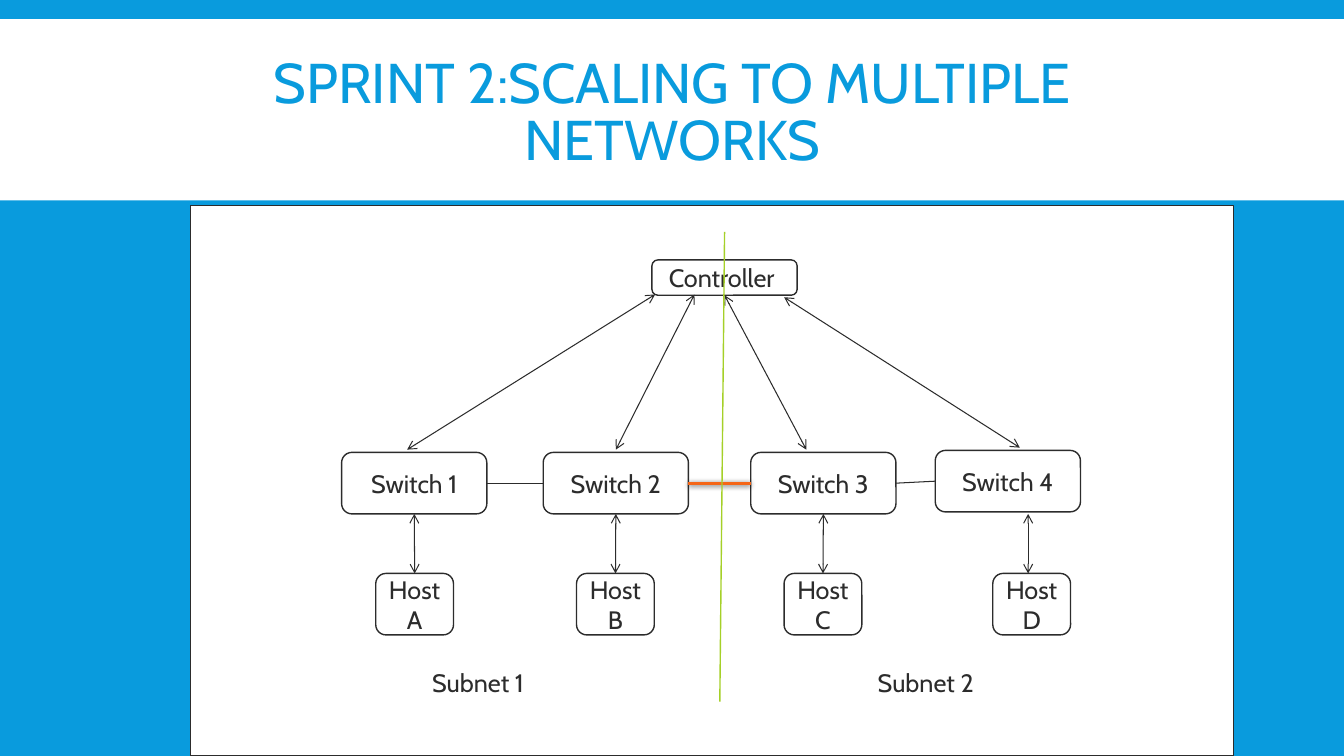
from lxml.etree import SubElement as Sub
from pptx import Presentation
from pptx.dml.color import RGBColor
from pptx.enum.shapes import MSO_CONNECTOR as Conn, MSO_SHAPE as Shape
from pptx.enum.text import MSO_ANCHOR as Anchor, MSO_AUTO_SIZE as Fit, PP_ALIGN as Align
from pptx.oxml.ns import qn
from pptx.util import Cm, Pt

BLUE, WHITE, INK, ORANGE, GREEN = "099BDD", "FFFFFF", "2C2C2C", "F56617", "A5D028"
TOP, LEFT, BOTTOM, RIGHT = range(4)
WIDE, HIGH = 33.87, 19.05

# Switch left and top, host left, host letter
NODES = [
    (8.61, 11.4, 9.47, "A"),
    (13.69, 11.4, 14.53, "B"),
    (18.92, 11.4, 19.76, "C"),
    (23.57, 11.35, 25.02, "D"),
]
# Switch end and controller end of each control link
LINKS = [
    (10.26, 11.33, 16.51, 7.42),
    (15.52, 11.33, 17.5, 7.42),
    (20.32, 11.33, 18.26, 7.44),
    (25.7, 11.28, 19.76, 7.49),
]


def color(code):
    return RGBColor.from_string(code)


def write(frame, lines, size=18, code=INK, align=Align.CENTER):
    frame.word_wrap = True
    for i, line in enumerate(lines):
        para = frame.add_paragraph() if i else frame.paragraphs[0]
        para.alignment = align
        run = para.add_run()
        run.text = line
        run.font.name = "Cabin"
        run.font.size = Pt(size)
        run.font.color.rgb = color(code)


def box(slide, kind, x, y, w, h, lines=(), edge=INK):
    shape = slide.shapes.add_shape(kind, Cm(x), Cm(y), Cm(w), Cm(h))
    shape.shadow.inherit = False
    shape.fill.solid()
    shape.fill.fore_color.rgb = color(WHITE)
    if edge:
        shape.line.color.rgb = color(edge)
        shape.line.width = Pt(1)
    else:
        shape.line.fill.background()
    shape.text_frame.vertical_anchor = Anchor.MIDDLE
    write(shape.text_frame, lines)
    return shape


def wire(slide, x1, y1, x2, y2, code=INK, width=0.75, arrows=False):
    line = slide.shapes.add_connector(
        Conn.STRAIGHT, Cm(x1), Cm(y1), Cm(x2), Cm(y2))
    line.line.color.rgb = color(code)
    line.line.width = Pt(width)
    if arrows:
        for end in ("a:headEnd", "a:tailEnd"):
            Sub(line.line._get_or_add_ln(), qn(end), type="arrow")
    Sub(line.element.spPr, qn("a:effectLst"))
    return line


def join(slide, first, out, last, into, **style):
    """Wire a side of one box to a side of another."""
    line = wire(slide, 0, 0, 1, 1, **style)
    line.begin_connect(first, out)
    line.end_connect(last, into)
    return line


def shade(line):
    glow = Sub(line.element.spPr.find(qn("a:effectLst")), qn("a:outerShdw"),
               blurRad=str(Pt(4)), dist=str(Pt(1.2)), dir="5400000",
               rotWithShape="0")
    black = Sub(glow, qn("a:srgbClr"), val="000000")
    Sub(black, qn("a:alpha"), val="68000")


def label(slide, x, text):
    area = slide.shapes.add_textbox(Cm(x), Cm(16.69), Cm(3.66), Cm(1.02))
    write(area.text_frame, [text], align=Align.LEFT)
    area.text_frame.auto_size = Fit.SHAPE_TO_FIT_TEXT


def head(slide):
    band = box(slide, Shape.RECTANGLE, 0, 0.48, WIDE, 4.57, edge=None)
    slide.shapes.element.insert(2, band.element)
    title = slide.shapes.title
    title.left, title.top = Cm(3.35), Cm(0.79)
    title.width, title.height = Cm(27.18), Cm(4.19)
    frame = title.text_frame
    write(frame, ["SPRINT 2:SCALING TO MULTIPLE NETWORKS"], 40, BLUE)
    frame.auto_size = Fit.NONE
    frame.vertical_anchor = Anchor.MIDDLE
    frame.paragraphs[0].line_spacing = 0.85


def network(slide):
    hub = box(slide, Shape.ROUNDED_RECTANGLE, 16.43, 6.55, 3.66, 0.89,
              ["Controller "])
    nodes = []
    for i, (x, y, left, name) in enumerate(NODES, 1):
        switch = box(slide, Shape.ROUNDED_RECTANGLE, x, y, 3.66, 1.55,
                     [f"Switch {i}"])
        host = box(slide, Shape.ROUNDED_RECTANGLE, left, 14.45, 1.96, 1.55,
                   ["Host", name])
        nodes.append(switch)
        if name == "D":
            drop = wire(slide, 25.91, 12.95, 25.91, 14.45, arrows=True)
        else:
            drop = join(slide, switch, BOTTOM, host, TOP, arrows=True)
    for i, ends in enumerate(LINKS):
        link = wire(slide, *ends, arrows=True)
        if i == 2:
            link.end_connect(hub, BOTTOM)
    one, two, three, four = nodes
    join(slide, one, RIGHT, two, LEFT)
    shade(join(slide, two, RIGHT, three, LEFT, code=ORANGE, width=2))
    join(slide, three, RIGHT, four, LEFT)


def main():
    deck = Presentation()
    deck.slide_width, deck.slide_height = Cm(WIDE), Cm(HIGH)
    slide = deck.slides.add_slide(deck.slide_layouts[5])
    slide.background.fill.solid()
    slide.background.fill.fore_color.rgb = color(BLUE)
    head(slide)
    box(slide, Shape.RECTANGLE, 4.8, 5.18, 26.29, 13.87)
    network(slide)
    wire(slide, 18.26, 5.84, 18.14, 17.68, GREEN, 1)
    label(slide, 10.64, "Subnet 1")
    label(slide, 21.87, "Subnet 2")
    deck.save("out.pptx")


if __name__ == "__main__":
    main()
